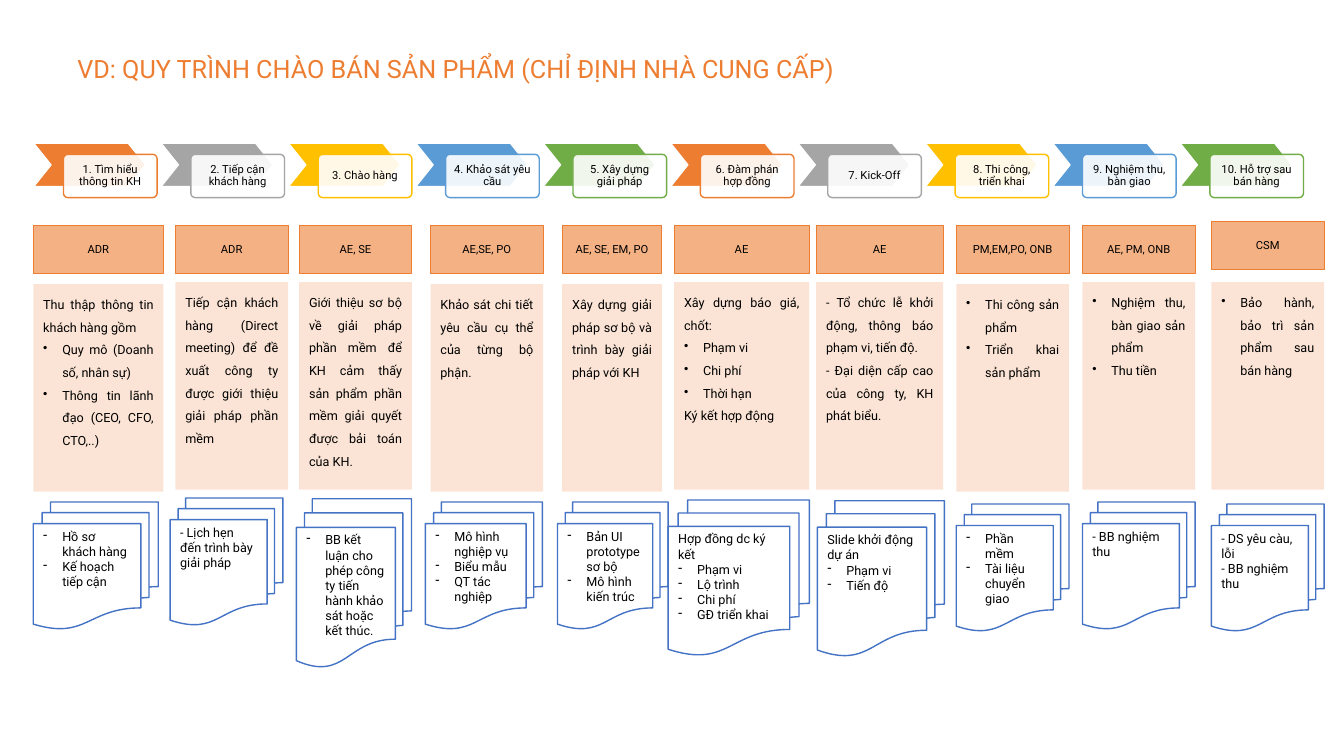
"""Build the ten-step sales process slide: steps, roles, tasks and documents."""
from lxml.etree import SubElement
from pptx import Presentation
from pptx.dml.color import RGBColor
from pptx.enum.shapes import MSO_SHAPE
from pptx.enum.text import MSO_ANCHOR, MSO_AUTO_SIZE, PP_ALIGN
from pptx.oxml.ns import qn
from pptx.util import Cm, Pt

COLORS = {
    "orange": "ED7D31", "gray": "A5A5A5", "yellow": "FFC000", "blue": "5B9BD5",
    "green": "70AD47", "role": "F4B183", "task": "F8CBAD", "document": "4472C4",
    "white": "FFFFFF", "black": "000000",
}
STEP_COLORS = ["orange", "gray", "yellow", "blue", "green"]
STEP_PITCH = 3.21
INDENT = Cm(0.48)


def add_shape(kind, bounds, fill, line=None, weight=1, opacity=100):
    """Add a preset shape with bounds in centimetres."""
    shape = page.shapes.add_shape(kind, *[Cm(length) for length in bounds])
    shape.shadow.inherit = False
    shape.fill.solid()
    shape.fill.fore_color.rgb = RGBColor.from_string(COLORS[fill])
    if opacity < 100:
        color = shape._element.spPr.find(qn("a:solidFill"))[0]
        SubElement(color, qn("a:alpha"), val=str(opacity * 1000))
    if line:
        shape.line.color.rgb = RGBColor.from_string(COLORS[line])
        shape.line.width = Pt(weight)
    else:
        shape.line.fill.background()
    return shape


def write(box, lines, size, align=PP_ALIGN.LEFT, spacing=1.0, marker="•",
          anchor=MSO_ANCHOR.TOP, color="black"):
    """Write paragraphs; a leading asterisk makes a list item."""
    frame = box.text_frame
    frame.word_wrap = True
    frame.vertical_anchor = anchor
    for index, line in enumerate(lines):
        para = frame.paragraphs[0] if index == 0 else frame.add_paragraph()
        para.alignment = align
        para.line_spacing = spacing
        if line.startswith("*"):
            properties = para._p.get_or_add_pPr()
            properties.set("marL", str(INDENT))
            properties.set("indent", str(-INDENT))
            SubElement(properties, qn("a:buChar"), char=marker)
        span = para.add_run()
        span.text = line.lstrip("*")
        span.font.size = Pt(size)
        span.font.name = "Roboto"
        span.font.color.rgb = RGBColor.from_string(COLORS[color])


deck = Presentation()
deck.slide_width, deck.slide_height = Cm(33.87), Cm(19.05)
page = deck.slides.add_slide(deck.slide_layouts[6])

title = page.shapes.add_textbox(Cm(1.7), Cm(1.22), Cm(19.94), Cm(1.02))
write(title, ["VD: QUY TRÌNH CHÀO BÁN SẢN PHẨM (CHỈ ĐỊNH NHÀ CUNG CẤP)"], 18, color="orange")
title.text_frame.word_wrap = False
title.text_frame.auto_size = MSO_AUTO_SIZE.SHAPE_TO_FIT_TEXT

steps = [
    "1. Tìm hiểu thông tin KH", "2. Tiếp cận khách hàng", "3. Chào hàng",
    "4. Khảo sát yêu cầu", "5. Xây dựng giải pháp", "6. Đàm phán hợp đồng",
    "7. Kick-Off", "8. Thi công, triển khai", "9. Nghiệm thu, bàn giao",
    "10. Hỗ trợ sau bán hàng",
]
for index, step in enumerate(steps):
    left = 0.85 + index * STEP_PITCH
    color = STEP_COLORS[index % len(STEP_COLORS)]
    chevron = add_shape(MSO_SHAPE.CHEVRON, (left, 3.61, 2.82, 1.09), color, "white")
    chevron.adjustments[0] = 0.4
    label = add_shape(MSO_SHAPE.ROUNDED_RECTANGLE, (left + 0.75, 3.89, 2.36, 1.09),
                      "white", color, opacity=90)
    label.adjustments[0] = 0.1
    frame = label.text_frame
    frame.margin_left = frame.margin_right = Cm(0.18)
    frame.margin_top = frame.margin_bottom = Cm(0.18)
    write(label, [step], 8, PP_ALIGN.CENTER, 0.9, anchor=MSO_ANCHOR.MIDDLE)

# left, width, role top, role, task top, tasks, document bounds, document lines
columns = [
    (0.84, 3.28, 5.69, "ADR", 7.16,
     ["Thu thập thông tin khách hàng gồm", "*Quy mô (Doanh số, nhân sự)",
      "*Thông tin lãnh đạo (CEO, CFO, CTO,..)"],
     (0.84, 12.65, 3.15, 3.2), ["*Hồ sơ khách hàng", "*Kế hoạch tiếp cận"]),
    (4.42, 2.84, 5.69, "ADR", 7.11,
     ["Tiếp cận khách hàng (Direct meeting) để đề xuất công ty được giới thiệu "
      "giải pháp phần mềm"],
     (4.29, 12.55, 2.84, 3.2), ["- Lịch hẹn đến trình bày giải pháp"]),
    (7.54, 2.84, 5.69, "AE, SE", 7.11,
     ["Giới thiệu sơ bộ về giải pháp phần mềm để KH cảm thấy sản phẩm phần mềm "
      "giải quyết được bải toán của KH."],
     (7.47, 12.57, 2.9, 4.24),
     ["*BB kết luận cho phép công ty tiến hành khảo sát hoặc kết thúc."]),
    (10.85, 2.84, 5.69, "AE,SE, PO", 7.16,
     ["Khảo sát chi tiết yêu cầu cụ thể của từng bộ phận."],
     (10.72, 12.65, 2.95, 3.2), ["*Mô hình nghiệp vụ", "*Biểu mẫu", "*QT tác nghiệp"]),
    (14.17, 2.51, 5.69, "AE, SE, EM, PO", 7.16,
     ["Xây dựng giải pháp sơ bộ và trình bày giải pháp với KH"],
     (14.05, 12.65, 2.79, 3.2), ["*Bản UI prototype sơ bộ", "*Mô hình kiến trúc"]),
    (16.99, 3.4, 5.69, "AE", 7.11,
     ["Xây dựng báo giá, chốt:", "*Phạm vi", "*Chi phí", "*Thời hạn", "Ký kết hợp động"],
     (16.84, 12.6, 3.56, 3.91),
     ["Hợp đồng dc ký kết", "*Phạm vi", "*Lộ trình", "*Chi phí", "*GĐ triển khai"]),
    (20.57, 3.2, 5.69, "AE", 7.11,
     ["- Tổ chức lễ khởi động, thông báo phạm vi, tiến độ.",
      "- Đại diện cấp cao của công ty, KH phát biểu."],
     (20.6, 12.62, 3.2, 3.91), ["Slide khởi động dự án", "*Phạm vi", "*Tiến độ"]),
    (24.1, 2.84, 5.69, "PM,EM,PO, ONB", 7.16,
     ["*Thi công sản phẩm", "*Triển khai sản phẩm"],
     (24.1, 12.7, 2.84, 3.2), ["*Phần mềm", "*Tài liệu chuyển giao"]),
    (27.28, 2.84, 5.69, "AE, PM, ONB", 7.11,
     ["*Nghiệm thu, bàn giao sản phẩm", "*Thu tiền"],
     (27.28, 12.65, 2.84, 3.2), ["- BB nghiệm thu"]),
    (30.53, 2.84, 5.59, "CSM", 7.11,
     ["*Bảo hành, bảo trì sản phẩm sau bán hàng"],
     (30.53, 12.7, 2.84, 3.2), ["- DS yêu càu, lỗi", "- BB nghiệm thu"]),
]
for left, width, role_top, role, task_top, tasks, bounds, documents in columns:
    role_box = add_shape(MSO_SHAPE.RECTANGLE, (left, role_top, width, 1.19),
                         "role", "orange", 0.5)
    write(role_box, [role], 8, PP_ALIGN.CENTER, anchor=MSO_ANCHOR.MIDDLE)
    task_box = add_shape(MSO_SHAPE.RECTANGLE, (left, task_top, width, 5.23),
                         "task", opacity=50)
    write(task_box, tasks, 9, PP_ALIGN.JUSTIFY, 1.5)
    document_box = add_shape(MSO_SHAPE.FLOWCHART_MULTIDOCUMENT, bounds, "white", "document")
    write(document_box, documents, 9, marker="-")

deck.save("out.pptx")
